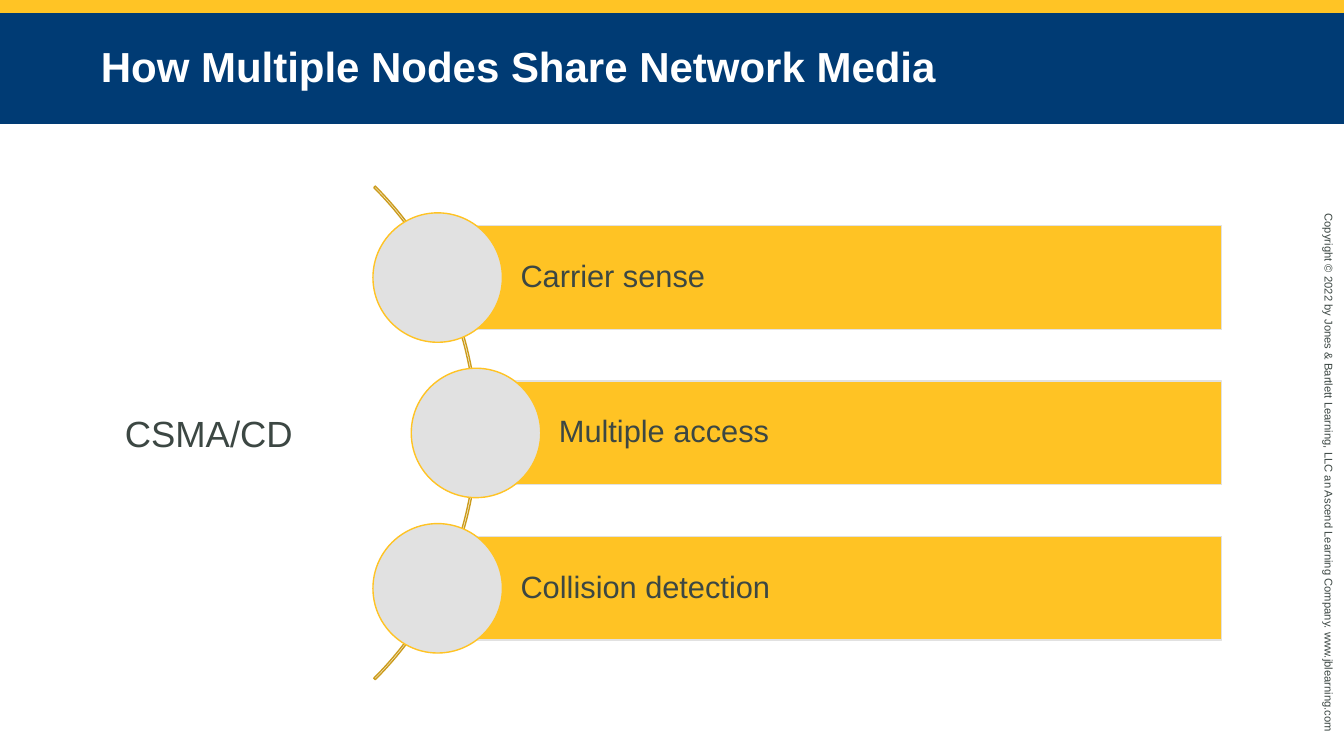
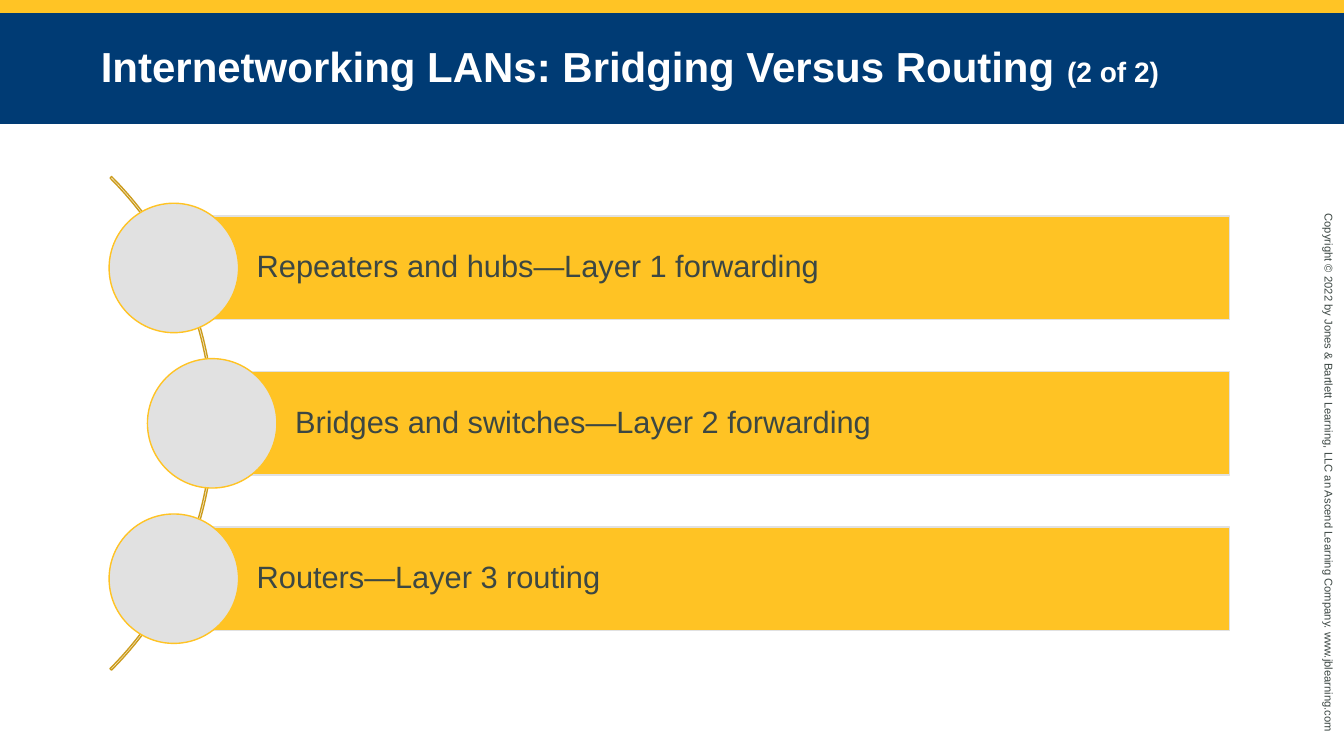
import pptx
import pptx.dml.color
import pptx.enum.shapes
import pptx.enum.text
import pptx.util

SLIDE_WIDTH = pptx.util.Inches(13.33)
SLIDE_HEIGHT = pptx.util.Inches(7.5)
COLUMN = SLIDE_WIDTH / 100
ROW = SLIDE_HEIGHT / 100

NAVY = pptx.dml.color.RGBColor(0x00, 0x3B, 0x74)
STRIP_YELLOW = pptx.dml.color.RGBColor(0xFF, 0xC4, 0x25)
BAR_YELLOW = pptx.dml.color.RGBColor(0xFF, 0xC3, 0x24)
ARC_GOLD = pptx.dml.color.RGBColor(0xCC, 0x9C, 0x1D)
PALE_GREY = pptx.dml.color.RGBColor(0xE1, 0xE1, 0xE1)
TEXT_GREY = pptx.dml.color.RGBColor(0x3C, 0x47, 0x43)
WHITE = pptx.dml.color.RGBColor(0xFF, 0xFF, 0xFF)

SHAPES = pptx.enum.shapes.MSO_SHAPE
MIDDLE = pptx.enum.text.MSO_ANCHOR.MIDDLE
TOP = pptx.enum.text.MSO_ANCHOR.TOP

STRIP_BOX = (0, 0, 100, 1.73)
TITLE_BOX = (0, 1.73, 100, 14.67)
COPYRIGHT_BOX = (78.3, 61.87, 41.1, 3.2)
LABEL_BOX = (8.55, 53.73, 19.72, 7.2)

COPYRIGHT = (
    "Copyright © 2022 by Jones & Bartlett Learning, LLC "
    "an Ascend Learning Company. www.jblearning.com"
)

TITLE_FONT = {"name": "Arial", "size": pptx.util.Pt(30), "bold": True}
COUNTER_FONT = TITLE_FONT | {"size": pptx.util.Pt(20)}
LABEL_FONT = {"name": "Arial", "size": pptx.util.Pt(26)}
BAR_FONT = {"name": "Arial", "size": pptx.util.Pt(22)}
COPYRIGHT_FONT = {"name": "Arial", "size": pptx.util.Pt(8)}

SLIDES = [
    {
        "title": [("How Multiple Nodes Share Network Media", TITLE_FONT)],
        "label": "CSMA/CD",
        "list_box": (27.75, 29.87, 63.15, 54.8),
        "items": ["Carrier sense", "Multiple access", "Collision detection"],
    },
    {
        "title": [
            ("Internetworking LANs: Bridging Versus Routing ", TITLE_FONT),
            ("(2 of 2)", COUNTER_FONT),
        ],
        "label": None,
        "list_box": (8.12, 28.6, 83.36, 54.8),
        "items": [
            "Repeaters and hubs—Layer 1 forwarding",
            "Bridges and switches—Layer 2 forwarding",
            "Routers—Layer 3 routing",
        ],
    },
]


def to_lengths(box):
    """Turn a box in grid columns and rows into lengths."""
    left, top, width, height = box
    return [int(n) for n in (left * COLUMN, top * ROW, width * COLUMN, height * ROW)]


def set_attributes(target, values):
    """Set each named attribute of the target."""
    for name, value in values.items():
        setattr(target, name, value)


def add_shape(slide, kind, lengths, fill=None, line=None):
    """Add a flat preset shape with the given fill and line colours."""
    shape = slide.shapes.add_shape(kind, *[int(length) for length in lengths])
    shape.shadow.inherit = False
    if fill is None:
        shape.fill.background()
    else:
        shape.fill.solid()
        shape.fill.fore_color.rgb = fill
    if line is None:
        shape.line.fill.background()
    else:
        shape.line.color.rgb = line
        shape.line.width = pptx.util.Pt(1)
    return shape


def write_text(shape, runs, color, frame=None, line_spacing=1.0):
    """Write one left-aligned paragraph made of text and font pairs."""
    text_frame = shape.text_frame
    set_attributes(text_frame, {"word_wrap": True} | (frame or {}))
    paragraph = text_frame.paragraphs[0]
    paragraph.alignment = pptx.enum.text.PP_ALIGN.LEFT
    paragraph.line_spacing = line_spacing
    for text, font in runs:
        run = paragraph.add_run()
        run.text = text
        set_attributes(run.font, font)
        run.font.color.rgb = color


def add_text_box(slide, box, text, font):
    """Add a grey text box and return it."""
    text_box = slide.shapes.add_textbox(*to_lengths(box))
    write_text(text_box, [(text, font)], TEXT_GREY, {"vertical_anchor": TOP})
    return text_box


def furnish_layout(layout, slide):
    """Build the top strip and the copyright line and move them to the layout."""
    strip = add_shape(slide, SHAPES.RECTANGLE, to_lengths(STRIP_BOX), STRIP_YELLOW)
    notice = add_text_box(slide, COPYRIGHT_BOX, COPYRIGHT, COPYRIGHT_FONT)
    notice.rotation = 90
    for shape in (strip, notice):
        layout.shapes.element.append(shape.element)


def fill_title(slide, runs):
    """Turn the title placeholder into the navy title band."""
    title = slide.shapes.title
    names = ("left", "top", "width", "height")
    set_attributes(title, dict(zip(names, to_lengths(TITLE_BOX))))
    title.fill.solid()
    title.fill.fore_color.rgb = NAVY
    frame = {
        "vertical_anchor": MIDDLE,
        "auto_size": pptx.enum.text.MSO_AUTO_SIZE.NONE,
        "margin_left": pptx.util.Inches(1),
        "margin_right": pptx.util.Inches(1),
    }
    write_text(title, runs, WHITE, frame, 0.95)


def add_curved_list(slide, box, items):
    """Add bars with circles strung along an arc inside the box."""
    left, top, width, height = to_lengths(box)
    pitch = height * 3 / (3 * len(items) - 1)
    bar_height = pitch * 2 / 3
    circle_size = bar_height * 1.25
    arc_size = bar_height * 6.74
    arc_left = left - bar_height * 5.73
    arc_top = top + (height - arc_size) / 2
    arc = add_shape(
        slide, SHAPES.BLOCK_ARC, (arc_left, arc_top, arc_size, arc_size), line=ARC_GOLD
    )
    for index, value in enumerate((189, 27, 0.003)):
        arc.adjustments[index] = value

    margin = int(bar_height * 0.06)
    frame = {
        "vertical_anchor": MIDDLE,
        "margin_left": int(bar_height * 0.8),
        "margin_right": margin,
        "margin_top": margin,
        "margin_bottom": margin,
    }
    for index, item in enumerate(items):
        indent = bar_height * 0.37 * (index % 2)
        bar_top = top + index * pitch
        bar_left = left + indent + circle_size / 2
        bar_lengths = (bar_left, bar_top, left + width - bar_left, bar_height)
        bar = add_shape(slide, SHAPES.RECTANGLE, bar_lengths, BAR_YELLOW, PALE_GREY)
        write_text(bar, [(item, BAR_FONT)], TEXT_GREY, frame, 0.9)
        circle_top = bar_top - (circle_size - bar_height) / 2
        circle_lengths = (left + indent, circle_top, circle_size, circle_size)
        add_shape(slide, SHAPES.OVAL, circle_lengths, PALE_GREY, BAR_YELLOW)


def main():
    """Build and save the presentation."""
    presentation = pptx.Presentation()
    presentation.slide_width = SLIDE_WIDTH
    presentation.slide_height = SLIDE_HEIGHT
    layout = presentation.slide_layouts[5]
    for index, content in enumerate(SLIDES):
        slide = presentation.slides.add_slide(layout)
        if index == 0:
            furnish_layout(layout, slide)
        fill_title(slide, content["title"])
        if content["label"]:
            add_text_box(slide, LABEL_BOX, content["label"], LABEL_FONT)
        add_curved_list(slide, content["list_box"], content["items"])
    presentation.save("out.pptx")


if __name__ == "__main__":
    main()
